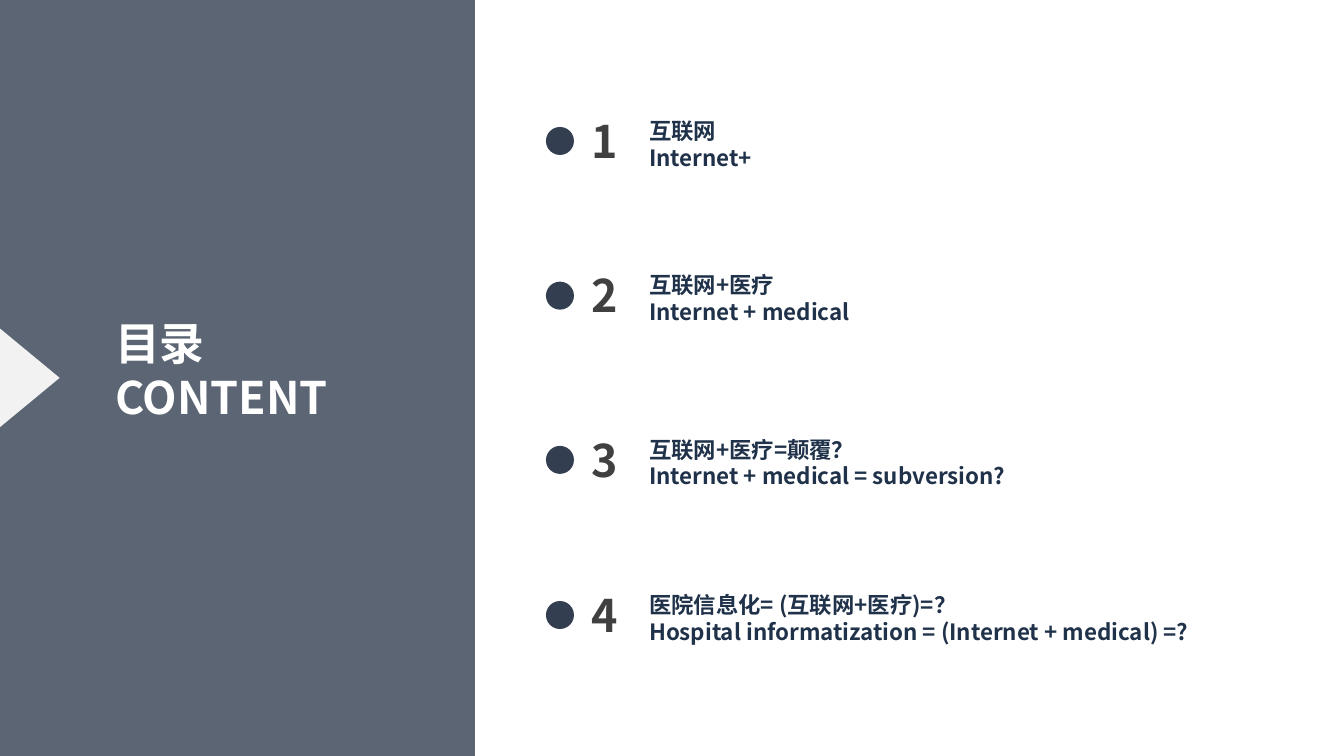
from lxml.etree import SubElement
from pptx import Presentation
from pptx.dml.color import RGBColor
from pptx.enum.shapes import MSO_SHAPE
from pptx.enum.text import MSO_ANCHOR, MSO_AUTO_SIZE, PP_ALIGN
from pptx.oxml.ns import qn
from pptx.util import Pt

FONT = "Noto Sans CJK SC"
COLORS = {
    "navy": "333F50",
    "label": "20324A",
    "number": "404040",
    "pointer": "F2F2F2",
    "white": "FFFFFF",
}
# Vertical centre of each row, in points, and its two lines
TOPICS = [
    (100.7, 138, ["互联网", "Internet+"]),
    (211.2, 174, ["互联网+医疗", "Internet + medical"]),
    (328.5, 302, ["互联网+医疗=颠覆？", "Internet + medical = subversion?"]),
    (439.3, 446, ["医院信息化= (互联网+医疗)=？",
                  "Hospital informatization = (Internet + medical) =?"]),
]


def write_lines(shape, lines, size, color):
    frame = shape.text_frame
    frame.word_wrap = True
    frame.auto_size = MSO_AUTO_SIZE.NONE
    frame.vertical_anchor = MSO_ANCHOR.TOP
    frame.text = "\n".join(lines)
    for paragraph in frame.paragraphs:
        paragraph.alignment = PP_ALIGN.LEFT
        font = paragraph.font
        font.size = Pt(size)
        font.bold = True
        font.color.rgb = RGBColor.from_string(COLORS[color])
        font.name = FONT
        # East Asian typeface for the Chinese characters
        latin = paragraph._p.find(".//" + qn("a:latin"))
        SubElement(latin.getparent(), qn("a:ea"), typeface=FONT)


def add_filled_shape(shapes, kind, left, top, width, height, color):
    shape = shapes.add_shape(kind, Pt(left), Pt(top), Pt(width), Pt(height))
    shape.shadow.inherit = False
    shape.fill.solid()
    shape.fill.fore_color.rgb = RGBColor.from_string(COLORS[color])
    shape.line.fill.background()
    return shape


def add_text(shapes, left, top, width, height, lines, size, color):
    box = shapes.add_textbox(Pt(left), Pt(top), Pt(width), Pt(height))
    write_lines(box, lines, size, color)


def add_topic(slide, number, center, label_width, lines):
    shapes = slide.shapes.add_group_shape().shapes
    add_filled_shape(shapes, MSO_SHAPE.OVAL, 390, center - 10, 20, 20, "navy")
    add_text(shapes, 415.3, center - 23.2, 36, 46, [str(number)], 32, "number")
    add_text(shapes, 456.6, center - 20.8, label_width, 46, lines, 16, "label")


def add_title(slide):
    title = slide.shapes.title
    title.left, title.top = Pt(75), Pt(221.8)
    title.width, title.height = Pt(179), Pt(85)
    write_lines(title, ["目录", "CONTENT"], 32, "white")
    return title


def add_panel(slide, title):
    panel = add_filled_shape(slide.shapes, MSO_SHAPE.RECTANGLE,
                             0, 0, 339.3, 540, "navy")
    color = panel.element.spPr.find(qn("a:solidFill"))[0]
    SubElement(color, qn("a:alpha"), val="80000")
    # Keep the title in front of the panel
    title.element.addprevious(panel.element)


def main():
    presentation = Presentation()
    presentation.slide_width, presentation.slide_height = Pt(960), Pt(540)
    slide = presentation.slides.add_slide(presentation.slide_layouts[5])

    # Left panel with title and pointer
    title = add_title(slide)
    add_panel(slide, title)
    pointer = add_filled_shape(slide.shapes, MSO_SHAPE.ISOSCELES_TRIANGLE,
                               -13.9, 248.6, 70.4, 42.6, "pointer")
    pointer.rotation = 90

    # Numbered topics
    for number, (center, label_width, lines) in enumerate(TOPICS, start=1):
        add_topic(slide, number, center, label_width, lines)

    presentation.save("out.pptx")


if __name__ == "__main__":
    main()
